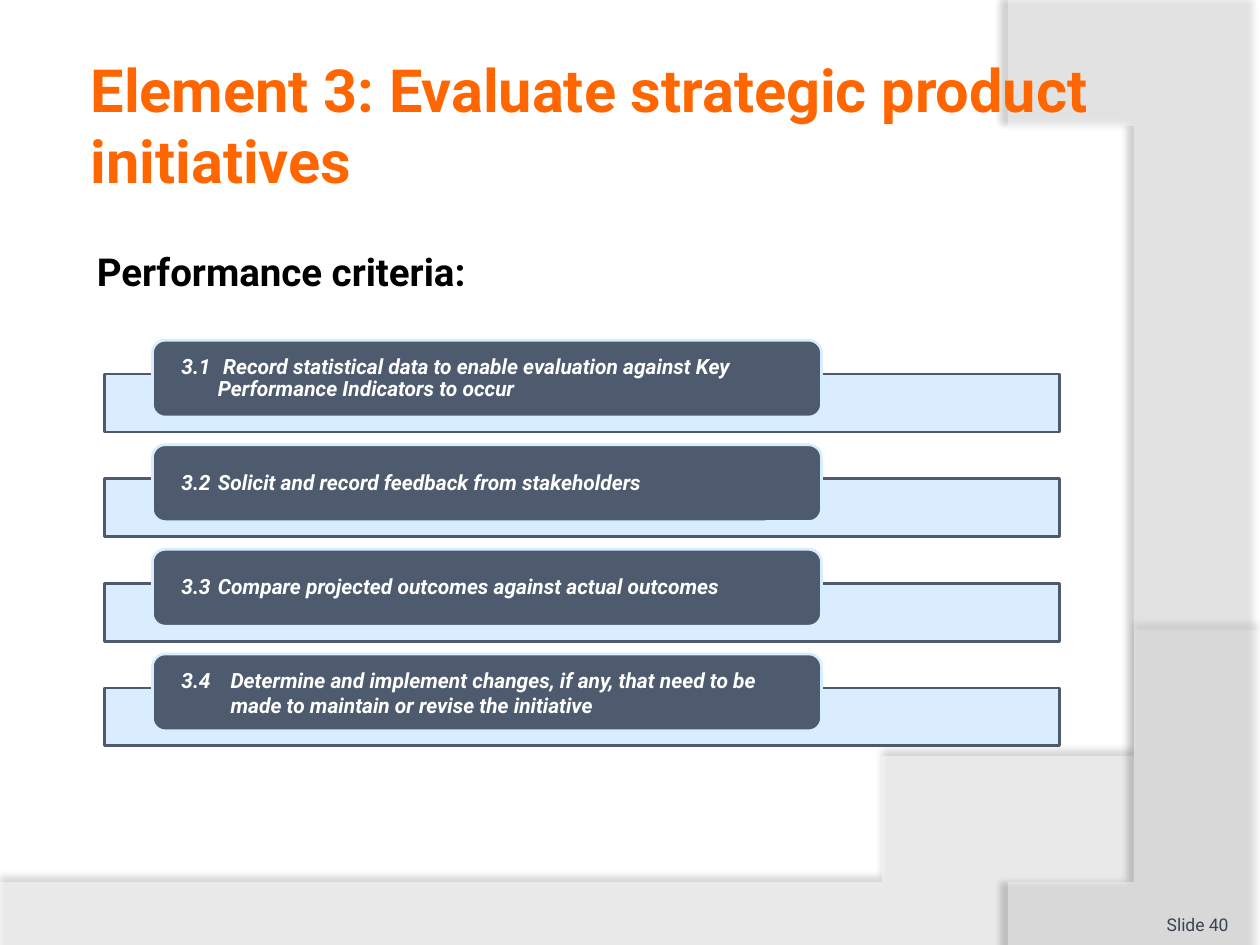
from dataclasses import dataclass

from lxml.etree import SubElement
from pptx import Presentation
from pptx.dml.color import RGBColor
from pptx.enum.shapes import MSO_SHAPE
from pptx.enum.text import MSO_ANCHOR, PP_ALIGN
from pptx.oxml.ns import qn
from pptx.util import Inches, Pt


@dataclass(frozen=True)
class Theme:
    font: str = "Roboto"
    title: str = "FF6600"
    black: str = "000000"
    white: str = "FFFFFF"
    slate: str = "4E5B6F"
    sky: str = "D6ECFF"
    footer: str = "3A4352"
    title_size: int = 34
    heading_size: int = 22
    label_size: int = 12
    footer_size: int = 10
    line_width: float = 1.5


THEME = Theme()

CRITERIA = [
    ("3.1\t Record statistical data to enable evaluation against "
     "Key Performance Indicators to occur", 0.29, 0.9),
    ("3.2\tSolicit and record feedback from stakeholders", 0.29, 0.9),
    ("3.3\tCompare projected outcomes against actual outcomes", 0.29, 0.9),
    ("3.4\tDetermine and implement changes, if any, that need to be made "
     "to maintain or revise the initiative", 0.39, 1.0),
]


def set_fill(sp, color, opacity=100):
    sp.fill.solid()
    sp.fill.fore_color.rgb = RGBColor.from_string(color)
    if opacity < 100:
        clr = sp.fill._xPr.find(qn("a:solidFill"))[0]
        SubElement(clr, qn("a:alpha"), val=str(opacity * 1000))


def add_shadow(sp, opacity, blur, distance, angle):
    sp.shadow.inherit = False
    effects = sp._element.spPr.find(qn("a:effectLst"))
    outer = SubElement(effects, qn("a:outerShdw"), blurRad=str(Pt(blur)),
                       dist=str(Pt(distance)), dir=str(angle * 60000),
                       algn="ctr", rotWithShape="0")
    clr = SubElement(outer, qn("a:srgbClr"), val=THEME.black)
    SubElement(clr, qn("a:alpha"), val=str(opacity * 1000))


def write_text(sp, text, *, size, color, bold=False, italic=False,
               align=PP_ALIGN.LEFT, anchor=MSO_ANCHOR.TOP,
               insets=(0.1, 0.05), hanging=0, spacing=1.0):
    tf = sp.text_frame
    tf.word_wrap = True
    tf.vertical_anchor = anchor
    tf.margin_left = tf.margin_right = Inches(insets[0])
    tf.margin_top = tf.margin_bottom = Inches(insets[1])
    p = tf.paragraphs[0]
    p.alignment = align
    p.line_spacing = spacing
    if hanging:
        pPr = p._p.get_or_add_pPr()
        pPr.set("marL", str(Inches(hanging)))
        pPr.set("indent", str(-Inches(hanging)))
    r = p.add_run()
    r.text = text
    r.font.name = THEME.font
    r.font.size = Pt(size)
    r.font.bold = bold
    r.font.italic = italic
    r.font.color.rgb = RGBColor.from_string(color)


def add_text(s, box, text, **fmt):
    sp = s.shapes.add_textbox(*map(Inches, box))
    write_text(sp, text, **fmt)


def add_box(s, kind, box, fill, line, opacity=100):
    sp = s.shapes.add_shape(kind, *map(Inches, box))
    sp.shadow.inherit = False
    set_fill(sp, fill, opacity)
    sp.line.color.rgb = RGBColor.from_string(line)
    sp.line.width = Pt(THEME.line_width)
    return sp


def curve(a, b, c, d, steps=48):
    points = []
    for i in range(steps + 1):
        t = i / steps
        weights = ((1 - t) ** 3, 3 * t * (1 - t) ** 2, 3 * t * t * (1 - t), t ** 3)
        points.append(tuple(sum(w * q[axis] for w, q in zip(weights, (a, b, c, d)))
                            for axis in (0, 1)))
    return points


def add_swoosh(s, points, opacity, shadow):
    builder = s.shapes.build_freeform(*points[0], scale=Inches(1))
    builder.add_line_segments(points[1:], close=True)
    sp = builder.convert_to_shape()
    set_fill(sp, THEME.white, opacity)
    sp.line.fill.background()
    add_shadow(sp, *shadow)


def add_criterion(s, top, text, hanging, spacing):
    add_box(s, MSO_SHAPE.RECTANGLE, (0.83, top + 0.27, 7.58, 0.46),
            THEME.sky, THEME.slate, opacity=90)
    label = add_box(s, MSO_SHAPE.ROUNDED_RECTANGLE, (1.21, top, 5.31, 0.61),
                    THEME.slate, THEME.sky)
    write_text(label, text, size=THEME.label_size, color=THEME.white,
               bold=True, italic=True, anchor=MSO_ANCHOR.MIDDLE,
               insets=(0.2, 0.02), hanging=hanging, spacing=spacing)


def main():
    prs = Presentation()
    prs.slide_width, prs.slide_height = Inches(10), Inches(7.5)
    s = prs.slides.add_slide(prs.slide_layouts[6])

    add_swoosh(s, [(0, 7.51), (10, 7.51)]
               + curve((10, 5.2), (5.59, 7.29), (3.91, 7.19), (0, 7.05)),
               45, (35, 4, 3.5, 270))
    add_swoosh(s, [(10, 0.02), (10, 7.5)]
               + curve((8.21, 7.5), (9.35, 6.19), (10.18, 3), (8, 0)),
               40, (45, 4, 4, 180))

    add_text(s, (0.67, 0.36, 8.17, 1.25),
             "Element 3: Evaluate strategic product initiatives",
             size=THEME.title_size, color=THEME.title, bold=True,
             anchor=MSO_ANCHOR.MIDDLE, insets=(0.05, 0.05))
    add_text(s, (0.67, 1.92, 8.17, 4.74), "Performance criteria:",
             size=THEME.heading_size, color=THEME.black, bold=True)
    add_text(s, (8.92, 7.02, 0.83, 0.4), "Slide 40",
             size=THEME.footer_size, color=THEME.footer,
             align=PP_ALIGN.RIGHT, anchor=MSO_ANCHOR.BOTTOM, insets=(0, 0))

    for i, (text, hanging, spacing) in enumerate(CRITERIA):
        add_criterion(s, 2.7 + i * 0.83, text, hanging, spacing)

    prs.save("out.pptx")


if __name__ == "__main__":
    main()
